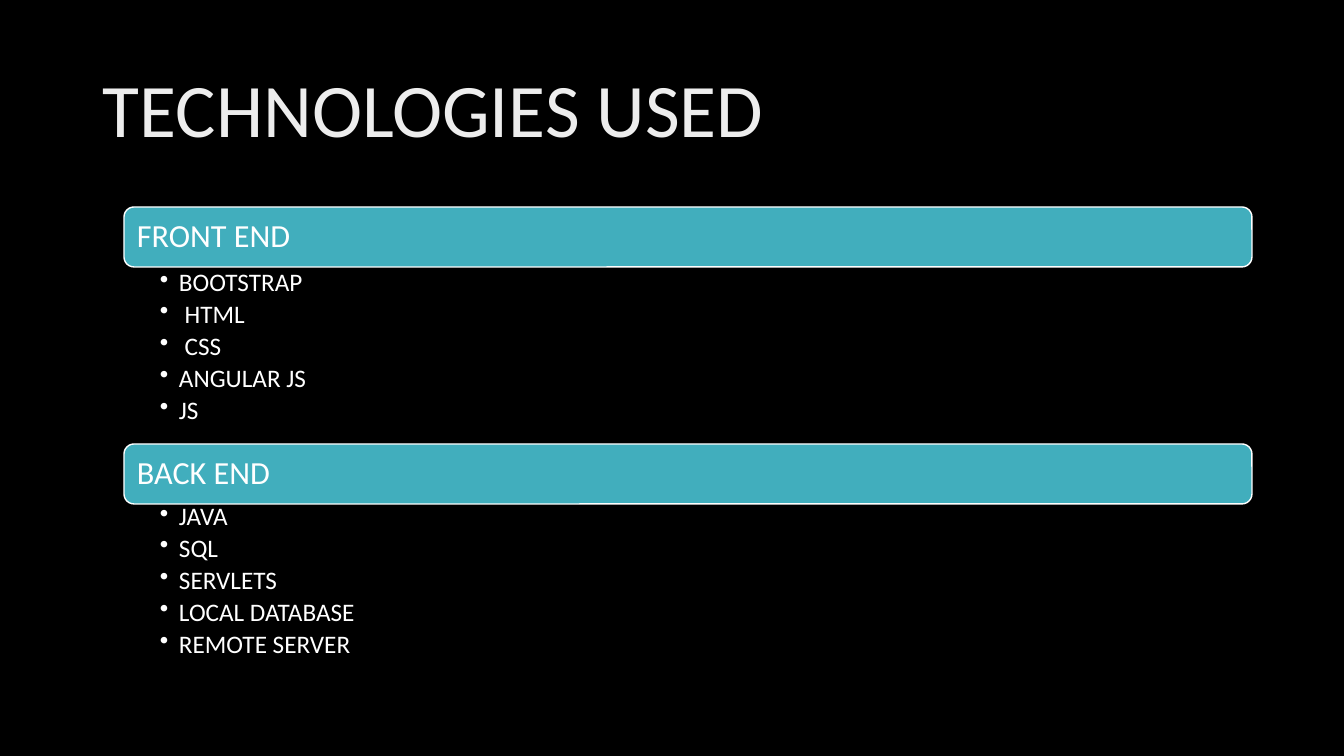
from lxml.etree import SubElement
from pptx import Presentation
from pptx.dml.color import RGBColor
from pptx.enum.shapes import MSO_SHAPE
from pptx.enum.text import MSO_ANCHOR, PP_ALIGN
from pptx.oxml.ns import qn
from pptx.util import Pt

SLIDE_WIDTH, SLIDE_HEIGHT = 1344, 756
EMU_PER_PX = 12192000 / SLIDE_WIDTH
FONT = "Calibri"
COLORS = {
    "background": "000000",
    "title": "EDEDED",
    "bar": "41AEBD",
    "text": "FFFFFF",
}
BAR_HEIGHT = 60
LIST_HEIGHT = 173
BULLET_INDENT = 19
SECTIONS = [
    ("FRONT END", ["BOOTSTRAP", " HTML", " CSS", "ANGULAR JS", "JS"],
     (124, 207, 1128, 233)),
    ("BACK END", ["JAVA", "SQL", "SERVLETS", "LOCAL DATABASE", "REMOTE SERVER"],
     (124, 444, 1128, 230)),
]


def px(length):
    return round(length * EMU_PER_PX)


def color(name):
    return RGBColor.from_string(COLORS[name])


def set_frame(text_frame, insets, anchor):
    text_frame.word_wrap = True
    text_frame.vertical_anchor = anchor
    (text_frame.margin_left, text_frame.margin_top,
     text_frame.margin_right, text_frame.margin_bottom) = map(px, insets)


def format_paragraph(paragraph, size, color_name, space_after=0):
    paragraph.alignment = PP_ALIGN.LEFT
    paragraph.line_spacing = 0.9
    paragraph.space_after = Pt(space_after)
    for run in paragraph.runs:
        run.font.name = FONT
        run.font.size = Pt(size)
        run.font.color.rgb = color(color_name)


def add_bullet(paragraph):
    properties = paragraph._p.get_or_add_pPr()
    properties.set("marL", str(px(BULLET_INDENT)))
    properties.set("indent", str(-px(BULLET_INDENT)))
    SubElement(properties, qn("a:buChar")).set("char", "•")


def add_title(slide, text, box):
    text_frame = slide.shapes.add_textbox(*map(px, box)).text_frame
    set_frame(text_frame, (10, 5, 10, 5), MSO_ANCHOR.MIDDLE)
    text_frame.text = text
    format_paragraph(text_frame.paragraphs[0], 54, "title")


def add_section(slide, heading, items, box):
    left, top, width, height = box
    bar = slide.shapes.add_shape(
        MSO_SHAPE.ROUNDED_RECTANGLE, px(left), px(top), px(width), px(BAR_HEIGHT))
    bar.shadow.inherit = False
    bar.fill.solid()
    bar.fill.fore_color.rgb = color("bar")
    bar.line.color.rgb = color("text")
    bar.line.width = Pt(1)
    set_frame(bar.text_frame, (10, 7, 10, 7), MSO_ANCHOR.MIDDLE)
    bar.text_frame.text = heading
    format_paragraph(bar.text_frame.paragraphs[0], 23, "text")

    list_top = top + height - LIST_HEIGHT
    text_frame = slide.shapes.add_textbox(
        px(left), px(list_top), px(width), px(LIST_HEIGHT)).text_frame
    set_frame(text_frame, (36, 3, 18, 3), MSO_ANCHOR.TOP)
    text_frame.text = "\n".join(items)
    for paragraph in text_frame.paragraphs:
        format_paragraph(paragraph, 18, "text", space_after=3.3)
        add_bullet(paragraph)


def main():
    presentation = Presentation()
    presentation.slide_width = px(SLIDE_WIDTH)
    presentation.slide_height = px(SLIDE_HEIGHT)
    slide = presentation.slides.add_slide(presentation.slide_layouts[6])
    slide.background.fill.solid()
    slide.background.fill.fore_color.rgb = color("background")
    add_title(slide, "TECHNOLOGIES USED", (93, 40, 1159, 146))
    for heading, items, box in SECTIONS:
        add_section(slide, heading, items, box)
    presentation.save("out.pptx")


if __name__ == "__main__":
    main()
